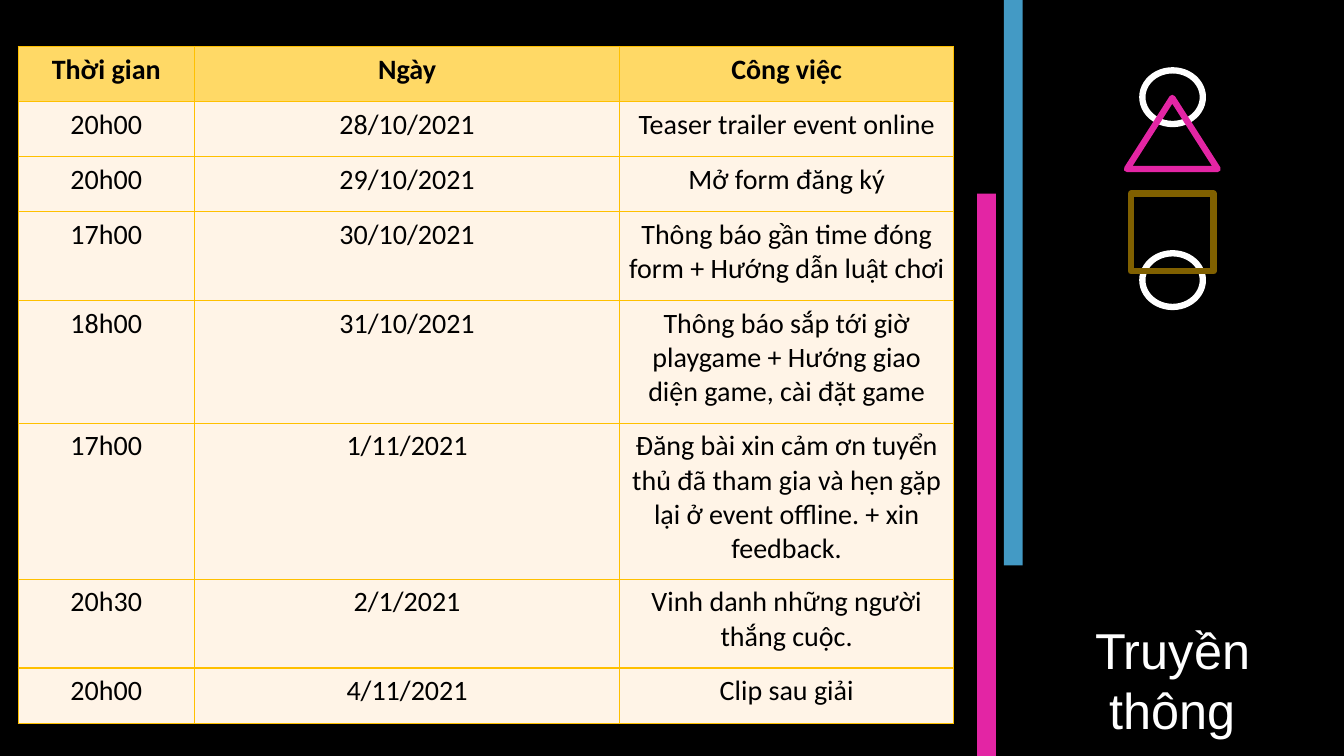
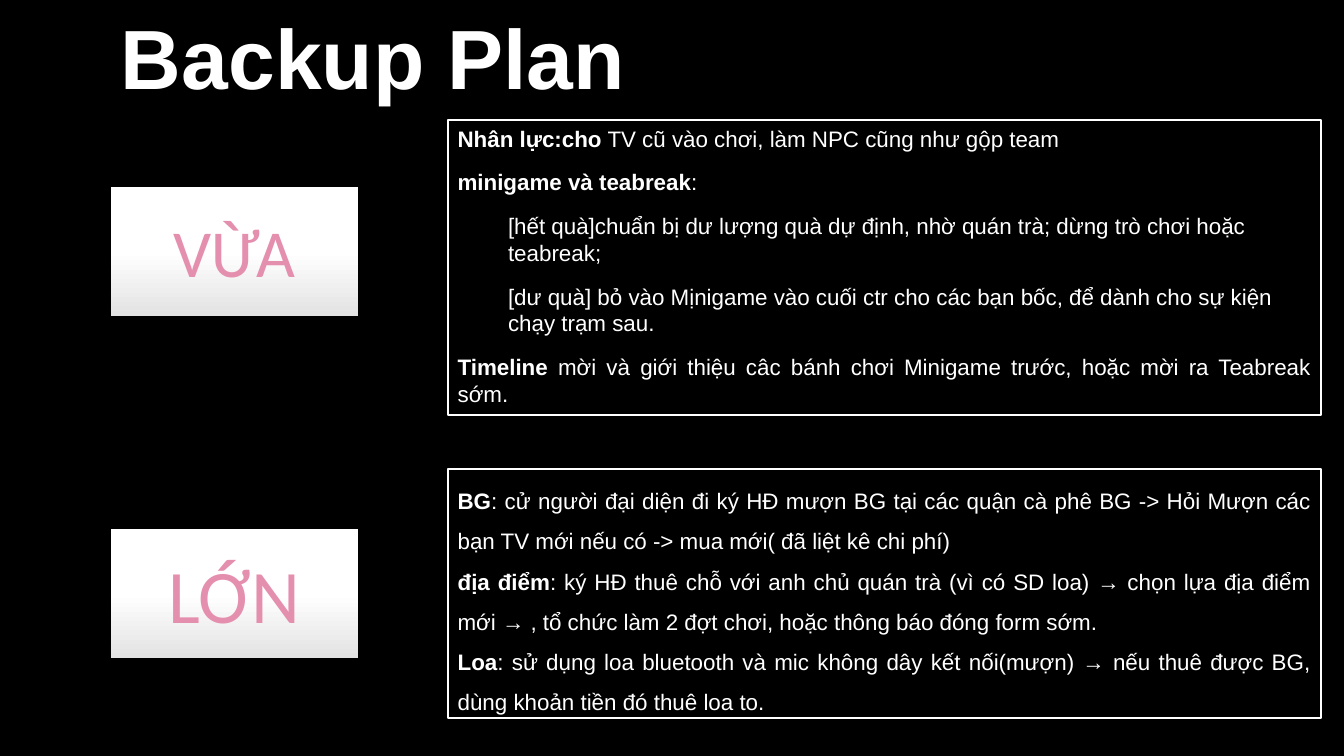
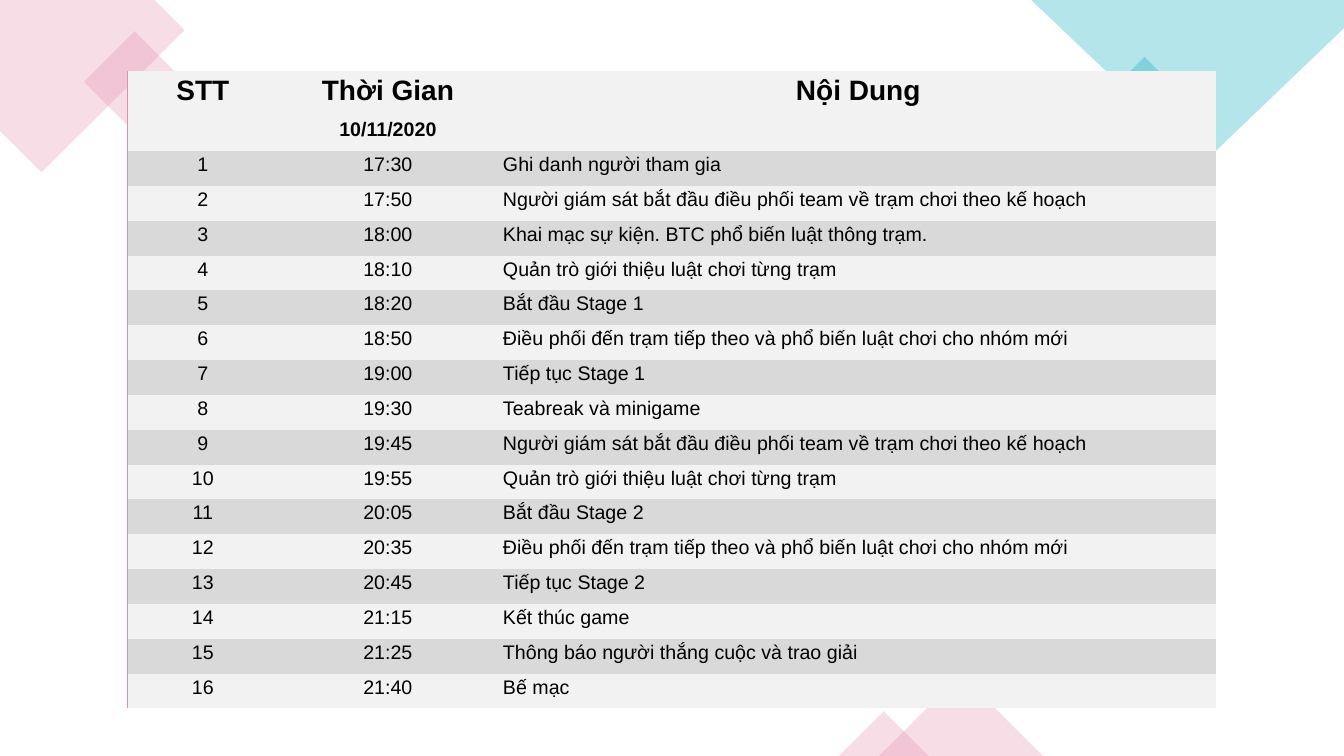
from lxml.etree import SubElement
from pptx import Presentation
from pptx.dml.color import RGBColor
from pptx.enum.shapes import MSO_SHAPE
from pptx.enum.text import MSO_ANCHOR, MSO_AUTO_SIZE, PP_ALIGN
from pptx.oxml import parse_xml
from pptx.oxml.ns import nsdecls, qn
from pptx.util import Inches, Pt

COLORS = {name: RGBColor.from_string(value) for name, value in {
    "black": "000000", "white": "FFFFFF", "blue": "439AC5", "magenta": "E325A4",
    "brown": "806000", "gold": "FFC000", "sand": "FFD966", "cream": "FFF4E7",
    "pink": "E58FAE", "teal": "09A9BF", "silver": "E3E3E3",
    "light": "F2F2F2", "gray": "D9D9D9",
}.items()}
NO_STYLE = "{2D5ABB26-0587-4C30-8999-92F81FD0307C}"

deck = Presentation()
deck.slide_width, deck.slide_height = Inches(13.33), Inches(7.5)


def area(left, top, width, height):
    """Turn percentages of the slide into lengths."""
    across, down = deck.slide_width / 100, deck.slide_height / 100
    return [round(value) for value in (left * across, top * down, width * across, height * down)]


def draw_table(page, left, top, columns, rows, cells, fills, sizes, font, insets,
               anchor, bold_rows, left_column, border, sides):
    """Draw a table; columns and rows are percentages of the slide."""
    frame = page.shapes.add_table(len(rows), len(columns),
                                  *area(left, top, sum(columns), sum(rows)))
    table = frame.table
    table.first_row = table.horz_banding = False
    table._tbl.tblPr.find(qn("a:tableStyleId")).text = NO_STYLE
    for column, width in zip(table.columns, columns):
        column.width = area(0, 0, width, 0)[2]
    for row, height in zip(table.rows, rows):
        row.height = area(0, 0, 0, height)[3]
    for row_index, texts in enumerate(cells):
        for column_index, text in enumerate(texts):
            cell = table.cell(row_index, column_index)
            cell.fill.solid()
            cell.fill.fore_color.rgb = COLORS[fills[row_index]]
            cell.vertical_anchor = anchor
            (cell.margin_left, cell.margin_top,
             cell.margin_right, cell.margin_bottom) = [Inches(inset) for inset in insets]
            cell.text_frame.text = text
            para = cell.text_frame.paragraphs[0]
            body_left = column_index == left_column and row_index >= bold_rows
            para.alignment = PP_ALIGN.LEFT if body_left else PP_ALIGN.CENTER
            for span in para.runs:
                span.font.name, span.font.size = font, Pt(sizes[row_index])
                span.font.bold = row_index < bold_rows
                span.font.color.rgb = COLORS["black"]
            if not text:
                para._p.get_or_add_endParaRPr().set("sz", str(sizes[row_index] * 100))
            # The outline must precede the fill in the cell properties
            for position, side in enumerate(sides if sides != "L" or column_index == 0 else ""):
                cell._tc.tcPr.insert(position, parse_xml(
                    f'<a:ln{side} {nsdecls("a")} w="12700"><a:solidFill>'
                    f'<a:srgbClr val="{COLORS[border]}"/></a:solidFill></a:ln{side}>'))


# Pages: layout, background, title, title area, size, bold, alignment
pages = []
for layout, background, title, place, size, bold, alignment in [
    (5, "black", "Truyền thông", (76, 81.2, 22.5, 9.4), 36, False, PP_ALIGN.CENTER),
    (3, "black", "Backup Plan", (8.25, 0, 50, 14.5), 60, True, PP_ALIGN.LEFT),
    (6, "white", None, None, None, None, None),
]:
    page = deck.slides.add_slide(deck.slide_layouts[layout])
    page.background.fill.solid()
    page.background.fill.fore_color.rgb = COLORS[background]
    pages.append(page)
    if title:
        box = page.shapes.title
        box.left, box.top, box.width, box.height = area(*place)
        box.text_frame.text = title
        box.text_frame.auto_size = MSO_AUTO_SIZE.NONE
        box.text_frame.word_wrap = True
        box.text_frame.vertical_anchor = MSO_ANCHOR.TOP
        para = box.text_frame.paragraphs[0]
        para.alignment = alignment
        font = para.runs[0].font
        font.name, font.size, font.bold = "Arial", Pt(size), bold
        font.color.rgb = COLORS["white"]
media_page, backup_page, agenda_page = pages

# Media page: schedule
schedule = [
    ("Thời gian", "Ngày", "Công việc"),
    ("20h00", "28/10/2021", "Teaser trailer event online"),
    ("20h00", "29/10/2021", "Mở form đăng ký"),
    ("17h00", "30/10/2021", "Thông báo gần time đóng form + Hướng dẫn luật chơi"),
    ("18h00", "31/10/2021",
     "Thông báo sắp tới giờ playgame + Hướng giao diện game, cài đặt game"),
    ("17h00", "1/11/2021", "Đăng bài xin cảm ơn tuyển thủ đã tham gia và hẹn gặp lại "
     "ở event offline. + xin feedback."),
    ("20h30", "2/1/2021", "Vinh danh những người thắng cuộc."),
    ("20h00", "4/11/2021", "Clip sau giải"),
]
line_counts = [1, 1, 1, 2, 3, 4, 2, 1]
draw_table(media_page, 1.35, 6.13, [13.12, 31.65, 24.83],
           [7.3 + 4.45 * (count - 1) for count in line_counts], schedule,
           ["sand"] + ["cream"] * 7, [20] * 8, "Calibri", [0.06] * 4,
           MSO_ANCHOR.TOP, 1, None, "gold", "LRTB")

# Media page: bars and outlined figures
for kind, place, fill, line in [
    (MSO_SHAPE.RECTANGLE, (74.7, 0, 1.4, 74.8), "blue", None),
    (MSO_SHAPE.OVAL, (85, 33.5, 4.5, 7.1), None, "white"),
    (MSO_SHAPE.OVAL, (85, 9.3, 4.5, 7.1), None, "white"),
    (MSO_SHAPE.ISOSCELES_TRIANGLE, (83.85, 12.95, 6.75, 9.4), None, "magenta"),
    (MSO_SHAPE.RECTANGLE, (84.15, 25.6, 6.15, 10.3), None, "brown"),
    (MSO_SHAPE.RECTANGLE, (72.7, 25.6, 1.4, 74.4), "magenta", None),
]:
    figure = media_page.shapes.add_shape(kind, *area(*place))
    figure.shadow.inherit = False
    if fill:
        figure.fill.solid()
        figure.fill.fore_color.rgb = COLORS[fill]
        figure.line.fill.background()
    else:
        figure.fill.background()
        figure.line.color.rgb = COLORS[line]
        figure.line.width = Pt(4.5)

# Backup page: paragraphs as bold lead, text, level, alignment
medium_plan = [
    ("Nhân lực:cho", " TV cũ vào chơi, làm NPC cũng như gộp team", 0, PP_ALIGN.LEFT),
    ("minigame và teabreak", ":", 0, PP_ALIGN.LEFT),
    ("", "[hết quà]chuẩn bị dư lượng quà dự định, nhờ quán trà; dừng trò chơi "
     "hoặc teabreak;", 1, PP_ALIGN.LEFT),
    ("", "[dư quà] bỏ vào Mịnigame vào cuối ctr cho các bạn bốc, để dành cho "
     "sự kiện chạy trạm sau.", 1, PP_ALIGN.LEFT),
    ("Timeline", " mời và giới thiệu câc bánh chơi Minigame trước, hoặc mời ra "
     "Teabreak sớm.", 0, PP_ALIGN.JUSTIFY),
]
large_plan = [
    ("BG", ": cử người đại diện đi ký HĐ mượn BG tại các quận cà phê BG -> Hỏi Mượn "
     "các bạn TV mới nếu có -> mua mới( đã liệt kê chi phí)", 0, PP_ALIGN.JUSTIFY),
    ("địa điểm", ": ký HĐ thuê chỗ với anh chủ quán trà (vì có SD loa) → chọn lựa "
     "địa điểm mới → , tổ chức làm 2 đợt chơi, hoặc thông báo đóng form sớm.",
     0, PP_ALIGN.JUSTIFY),
    ("Loa", ": sử dụng loa bluetooth và mic không dây kết nối(mượn) → nếu thuê được "
     "BG, dùng khoản tiền đó thuê loa to.", 0, PP_ALIGN.JUSTIFY),
]
plans = [
    (1, medium_plan, 15.85, 39.05, 1, 12, "VỪA", 48, 24.7),
    (2, large_plan, 62, 32.95, 1.5, 0, "LỚN", 54, 70),
]
for number, plan, top, height, spacing, gap, label, label_size, label_top in plans:
    box = backup_page.placeholders[number]
    box.left, box.top, box.width, box.height = area(33.3, top, 65, height)
    box.fill.solid()
    box.fill.fore_color.rgb = COLORS["black"]
    box.line.color.rgb = COLORS["white"]
    box.line.width = Pt(1.5)
    frame = box.text_frame
    frame.auto_size = MSO_AUTO_SIZE.NONE
    frame.word_wrap = True
    frame.vertical_anchor = MSO_ANCHOR.TOP
    for index, (lead, text, level, alignment) in enumerate(plan):
        para = frame.add_paragraph() if index else frame.paragraphs[0]
        properties = para._p.get_or_add_pPr()
        properties.set("marL", str(Inches(0.5) * level))
        properties.set("indent", "0")
        SubElement(properties, qn("a:buNone"))
        para.level, para.alignment = level, alignment
        para.line_spacing = spacing
        para.space_before = Pt(0)
        para.space_after = Pt(gap if index < len(plan) - 1 else 0)
        for words, bold in [(lead, True), (text, False)]:
            if words:
                span = para.add_run()
                span.text = words
                span.font.name, span.font.size, span.font.bold = "Arial", Pt(16), bold
                span.font.color.rgb = COLORS["white"]

    # Label to the left of the plan
    tag = backup_page.shapes.add_shape(MSO_SHAPE.RECTANGLE, *area(8.25, label_top, 18.4, 17.05))
    tag.shadow.inherit = False
    tag.line.fill.background()
    tag.fill.gradient()
    tag.fill.gradient_angle = 270
    for stop, position, color in zip(tag.fill.gradient_stops, (0.5, 1), ("white", "silver")):
        stop.position, stop.color.rgb = position, COLORS[color]
    tag.text_frame.text = label
    tag.text_frame.vertical_anchor = MSO_ANCHOR.MIDDLE
    para = tag.text_frame.paragraphs[0]
    para.alignment = PP_ALIGN.CENTER
    font = para.runs[0].font
    font.name, font.size = "Calibri", Pt(label_size)
    font.color.rgb = COLORS["pink"]

# Agenda page: translucent corner decorations
decorations = []
for color, corners in [
    ("pink", [(0, 0), (11.48, 0), (13.73, 4), (3.08, 22.8), (0, 17.33)]),
    ("teal", [(100, 0), (76.73, 0), (89.5, 21.6), (100, 3.73)]),
]:
    points = [area(x, y, 0, 0)[:2] for x, y in corners]
    builder = agenda_page.shapes.build_freeform(*points[0])
    builder.add_line_segments(points[1:], close=True)
    decorations.append((builder.convert_to_shape(), color))
for kind, place, turn, color in [
    (MSO_SHAPE.RECTANGLE, (7.35, 6.1, 5.33, 9.47), 45, "pink"),
    (MSO_SHAPE.RECTANGLE, (82.35, 9.6, 5.63, 10), 45, "teal"),
    (MSO_SHAPE.ISOSCELES_TRIANGLE, (65.4, 89.2, 12.2, 10.8), 0, "pink"),
    (MSO_SHAPE.ISOSCELES_TRIANGLE, (62.4, 94.1, 6.7, 5.9), 0, "pink"),
]:
    figure = agenda_page.shapes.add_shape(kind, *area(*place))
    figure.rotation = turn
    decorations.append((figure, color))
for figure, color in decorations:
    figure.shadow.inherit = False
    figure.line.fill.background()
    figure.fill.solid()
    figure.fill.fore_color.rgb = COLORS[color]
    tint = figure._element.spPr.find(qn("a:solidFill"))[0]
    SubElement(tint, qn("a:alpha")).set("val", "30000")

# Agenda page: timetable
move_teams = "Người giám sát bắt đầu điều phối team về trạm chơi theo kế hoạch"
explain_rules = "Quản trò giới thiệu luật chơi từng trạm"
next_station = "Điều phối đến trạm tiếp theo và phổ biến luật chơi cho nhóm mới"
events = [
    ("17:30", "Ghi danh người tham gia"),
    ("17:50", move_teams),
    ("18:00", "Khai mạc sự kiện. BTC phổ biến luật thông trạm."),
    ("18:10", explain_rules),
    ("18:20", "Bắt đầu Stage 1"),
    ("18:50", next_station),
    ("19:00", "Tiếp tục Stage 1"),
    ("19:30", "Teabreak và minigame"),
    ("19:45", move_teams),
    ("19:55", explain_rules),
    ("20:05", "Bắt đầu Stage 2"),
    ("20:35", next_station),
    ("20:45", "Tiếp tục Stage 2"),
    ("21:15", "Kết thúc game"),
    ("21:25", "Thông báo người thắng cuộc và trao giải"),
    ("21:40", "Bế mạc"),
]
agenda = [("STT", "Thời Gian", "Nội Dung"), ("", "10/11/2020", "")]
agenda += [(str(number), *event) for number, event in enumerate(events, 1)]
draw_table(agenda_page, 9.5, 9.35, [10.95, 16.6, 53.4], [6] + [4.61] * 17, agenda,
           ["light"] * 2 + ["gray", "light"] * 8, [20] + [14] * 17, "Arial",
           [0.05, 0.01, 0.02, 0.1], MSO_ANCHOR.BOTTOM, 2, 2, "pink", "L")

deck.save("out.pptx")
